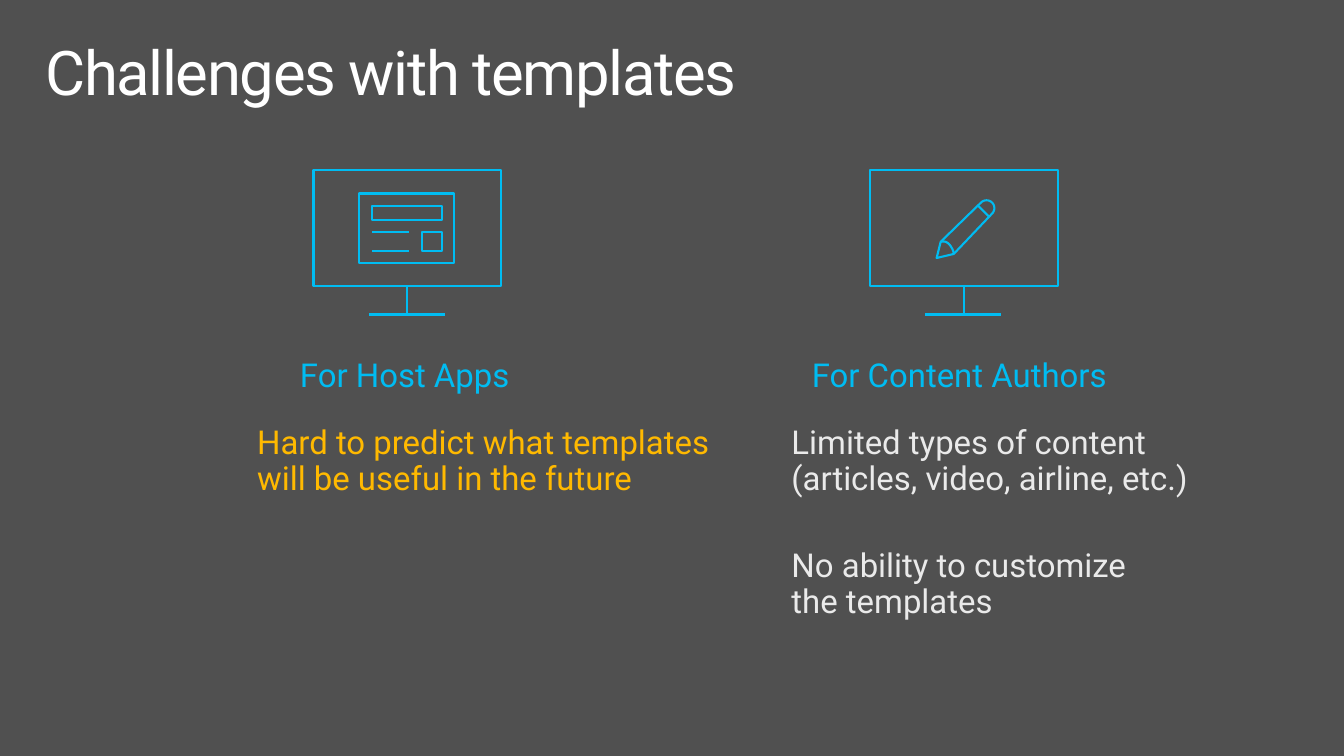
from lxml.etree import SubElement
from pptx import Presentation
from pptx.dml.color import RGBColor
from pptx.enum.text import MSO_ANCHOR, MSO_AUTO_SIZE, PP_ALIGN
from pptx.oxml.ns import qn
from pptx.util import Inches, Pt

BACKGROUND = RGBColor(0x50, 0x50, 0x50)
WHITE = RGBColor(0xFF, 0xFF, 0xFF)
LIGHT_GRAY = RGBColor(0xEA, 0xEA, 0xEA)
CYAN = RGBColor(0x00, 0xBC, 0xF2)
AMBER = RGBColor(0xFF, 0xB9, 0x00)

FONT = "Roboto"
TEXT_SIZE = 23.5
TEXT_INSETS = (0.2, 0.16)
PARAGRAPH_GAP = 31.3


def set_attributes(target, values):
    for name, value in values.items():
        setattr(target, name, value)


def remove_bullet(paragraph):
    properties = paragraph._p.get_or_add_pPr()
    properties.set("marL", "0")
    properties.set("indent", "0")
    SubElement(properties, qn("a:buNone"))


def fill_placeholder(shape, box, lines, color, size=TEXT_SIZE,
                     insets=TEXT_INSETS, alignment=PP_ALIGN.LEFT, space_after=5.9):
    left, top, width, height = (Inches(value) for value in box)
    set_attributes(shape, {"left": left, "top": top, "width": width, "height": height})
    side, edge = (Inches(value) for value in insets)
    frame = shape.text_frame
    set_attributes(frame, {
        "margin_left": side, "margin_right": side,
        "margin_top": edge, "margin_bottom": edge,
        "word_wrap": True, "auto_size": MSO_AUTO_SIZE.NONE,
        "vertical_anchor": MSO_ANCHOR.TOP,
    })
    frame.text = "\n".join(lines)
    for index, paragraph in enumerate(frame.paragraphs):
        remove_bullet(paragraph)
        set_attributes(paragraph, {
            "alignment": alignment, "line_spacing": 0.9,
            "space_before": Pt(PARAGRAPH_GAP if index else 0),
            "space_after": Pt(space_after),
        })
        for run in paragraph.runs:
            set_attributes(run.font, {"name": FONT, "size": Pt(size), "bold": False})
            run.font.color.rgb = color


def rectangle(left, top, right, bottom):
    return [(left, top), (right, top), (right, bottom), (left, bottom), (left, top)]


def curve(start, first, second, end, steps=12):
    points = []
    for step in range(steps + 1):
        t = step / steps
        weights = ((1 - t) ** 3, 3 * t * (1 - t) ** 2, 3 * t * t * (1 - t), t ** 3)
        points.append(tuple(
            sum(weight * value for weight, value in zip(weights, values))
            for values in zip(start, first, second, end)
        ))
    return points


def draw_outline(slide, contours):
    scaled = [[(Inches(x), Inches(y)) for x, y in contour] for contour in contours]
    builder = slide.shapes.build_freeform(*scaled[0][0])
    for index, contour in enumerate(scaled):
        if index:
            builder.move_to(*contour[0])
        builder.add_line_segments(contour[1:], close=contour[0] == contour[-1])
    shape = builder.convert_to_shape()
    shape.shadow.inherit = False
    shape.fill.background()
    shape.line.color.rgb = CYAN
    shape.line.width = Pt(1.5)


def draw_monitor(slide, left):
    center = left + 0.93
    draw_outline(slide, [
        rectangle(left, 1.69, left + 1.86, 2.84),
        [(center, 2.84), (center, 3.12)],
        [(center - 0.38, 3.12), (center + 0.37, 3.12)],
    ])


def draw_page(slide):
    draw_outline(slide, [
        rectangle(3.56, 1.92, 4.5, 2.61),
        rectangle(3.69, 2.04, 4.38, 2.18),
        rectangle(4.19, 2.3, 4.38, 2.49),
        [(3.69, 2.3), (4.06, 2.3)],
        [(3.69, 2.49), (4.06, 2.49)],
    ])


def draw_pencil(slide):
    tip, upper, lower = (9.29, 2.56), (9.33, 2.4), (9.46, 2.52)
    cap_start, cap_middle, cap_end = (9.73, 2.01), (9.84, 2.01), (9.84, 2.12)
    cap = (curve(cap_start, (9.76, 1.98), (9.81, 1.98), cap_middle)
           + curve(cap_middle, (9.87, 2.04), (9.87, 2.09), cap_end)[1:])
    draw_outline(slide, [
        [lower, tip, upper, *cap, lower],
        [(9.7, 2.04), (9.81, 2.15)],
        curve(lower, lower, (9.46, 2.48), (9.42, 2.43))
        + curve((9.42, 2.43), (9.38, 2.38), upper, upper)[1:],
    ])


def main():
    presentation = Presentation()
    presentation.slide_width = Inches(13.33)
    presentation.slide_height = Inches(7.5)
    comparison_layout = presentation.slide_layouts[4]
    slide = presentation.slides.add_slide(comparison_layout)
    slide.background.fill.solid()
    slide.background.fill.fore_color.rgb = BACKGROUND

    title, host_heading, host_body, author_heading, author_body = slide.placeholders
    fill_placeholder(title, (0.29, 0.32, 12.75, 0.98), ["Challenges with templates"],
                     WHITE, size=44, insets=(0.16, 0.1), space_after=0)
    title.text_frame.paragraphs[0].runs[0].font._element.set("spc", "-100")

    fill_placeholder(host_heading, (2.35, 3.4, 3.33, 0.67), ["For Host Apps"],
                     CYAN, alignment=PP_ALIGN.CENTER)
    fill_placeholder(host_body, (2.35, 4.07, 5.14, 1.03),
                     ["Hard to predict what templates will be useful in the future"], AMBER)
    fill_placeholder(author_heading, (7.65, 3.4, 3.73, 0.67), ["For Content Authors"],
                     CYAN, alignment=PP_ALIGN.CENTER)
    fill_placeholder(author_body, (7.65, 4.07, 4.9, 2.26), [
        "Limited types of content (articles, video, airline, etc.)",
        "No ability to customize\vthe templates",
    ], LIGHT_GRAY)

    for left in (3.11, 8.63):
        draw_monitor(slide, left)
    draw_page(slide)
    draw_pencil(slide)
    presentation.save("out.pptx")


if __name__ == "__main__":
    main()
